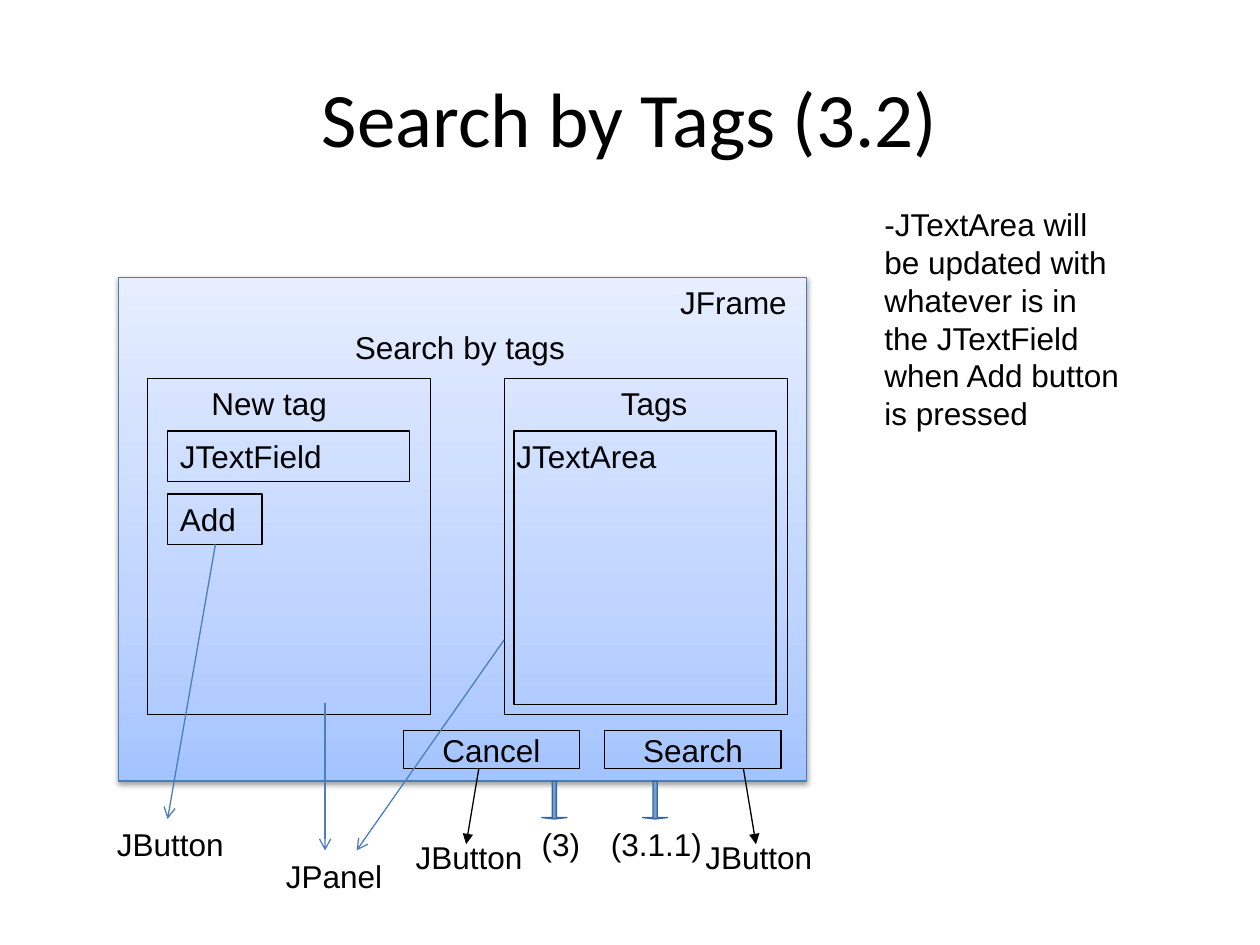
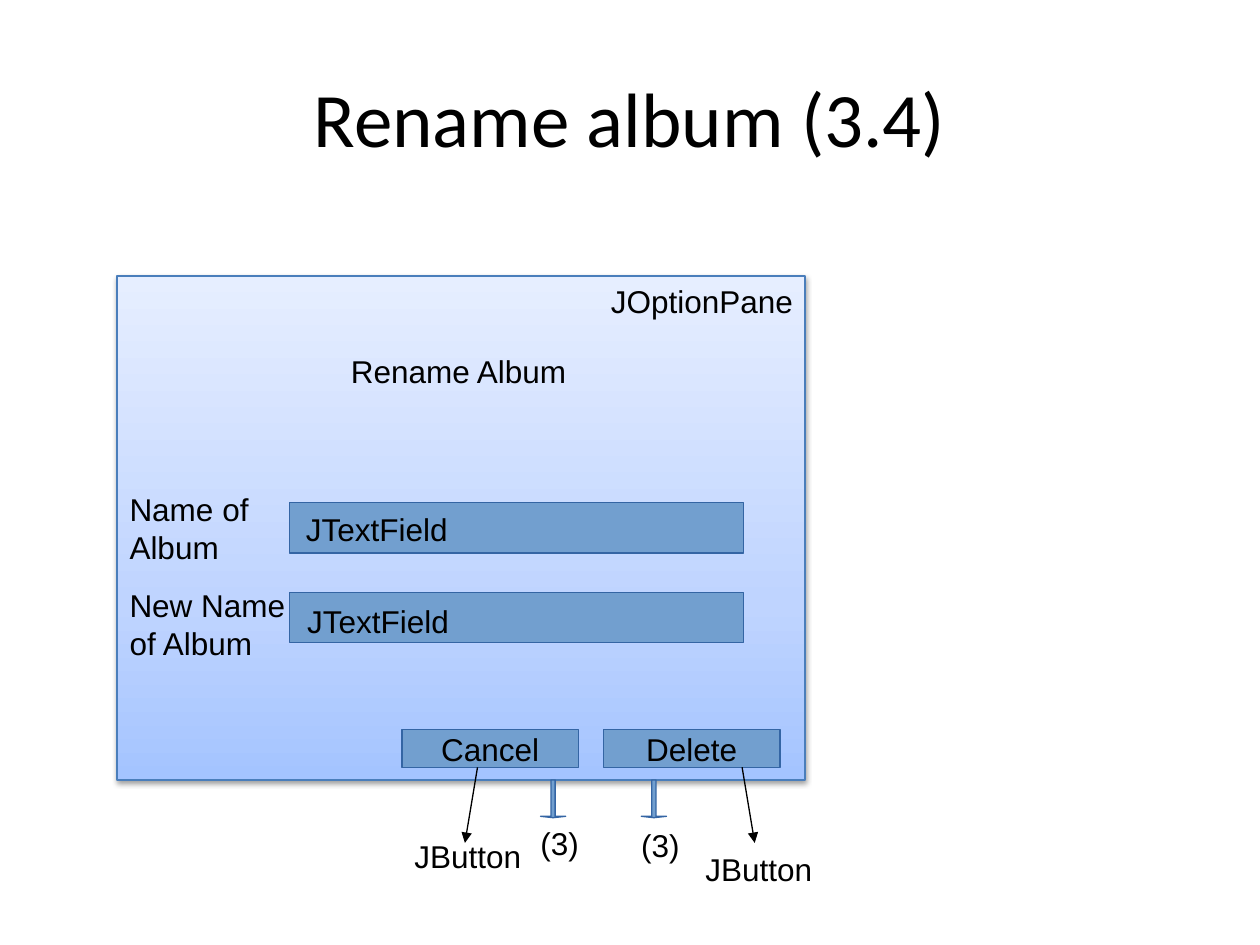
import pptx
import pptx.util
import pptx.dml.color
import pptx.enum.shapes
import pptx.enum.text
import pptx.oxml
import pptx.oxml.ns
from lxml import etree

Pt = pptx.util.Pt
SHAPE = pptx.enum.shapes.MSO_SHAPE
ANCHOR = pptx.enum.text.MSO_ANCHOR
ALIGN = pptx.enum.text.PP_ALIGN

THEME = {
    "title": ("Calibri", 44), "body": ("Arial", 18), "ink": "000000",
    "frame_line": "4A7EBB", "pointer": "4B7EBC",
    "fill": "729FCF", "fill_line": "3465A4",
    "gradient": [(0, "A4C4FF"), (35, "BFD4FF"), (100, "E6EEFF")],
    "line": 0.75, "thin": 0.5,
}

# Parts shared by both dialogs: left, top, width, height in points
FRAME = (67.68, 158.4, 393.12, 288)
HEADING = (100.8, 324, 36)                  # left, width, height
BUTTON_X, BUTTON_Y, BUTTON_SIZE = (230.4, 345.6), 417.6, (100.8, 21.6)
EXIT_X, EXIT_SIZE = (309.6, 367.2), (14.4, 21.6)
CALLOUTS = [(273.6, 439.2, 266.4, 482.4), (424.8, 439.2, 432, 482.4)]

# Labels are (text, left, top, width, height); boxes are (left, top, width, height, text)
SLIDES = [
    {
        "title": "Search by Tags (3.2)", "shift": 0,
        "heading": ("Search by tags", 180), "buttons": ("Cancel", "Search"),
        "filled": False,
        "boxes": [
            (293.76, 246.24, 149.76, 156.24, ""),
            (95.76, 246.24, 138.24, 28.8, "JTextField"),
            (95.76, 282.24, 54, 28.8, "Add"),
        ],
        "panels": [(84.24, 216, 162, 192.24), (288, 216, 162, 192.24)],
        "labels": [
            ("JFrame", 381.6, 158.4, 86.4, 28.8),
            ("New tag", 113.76, 216, 120.24, 28.8),
            ("Tags", 347.76, 216, 93.6, 28.8),
            ("JTextArea", 288, 246.24, 129.6, 28.8),
            ("-JTextArea will be updated with whatever is in the JTextField "
             "when Add button is pressed", 498.24, 113.76, 149.76, 138.24),
            ("JButton", 59.76, 468, 113.76, 28.8),
            ("JPanel", 156.24, 486, 77.76, 28.8),
            ("JButton", 230.4, 475.2, 100.8, 47.52),
            ("(3)", 302.4, 468, 50.4, 28.8),
            ("(3.1.1)", 342, 468, 68.4, 28.8),
            ("JButton", 396, 475.2, 100.8, 47.52),
        ],
        "pointers": [(123.12, 311.04, 95.76, 468), (288, 365.76, 203.76, 486),
                     (185.76, 401.76, 185.76, 486)],
    },
    {
        "title": "Rename album (3.4)", "shift": -0.72,
        "heading": ("Rename Album", 193.68), "buttons": ("Cancel", "Delete"),
        "filled": True,
        "boxes": [(165.6, 287.28, 259.2, 28.8, ""), (165.6, 338.4, 259.2, 28.8, "")],
        "panels": [],
        "labels": [
            ("JOptionPane", 342, 157.68, 125.28, 47.52),
            ("Name of Album", 66.96, 276.48, 119.52, 47.52),
            ("New Name of Album", 66.96, 331.2, 119.52, 47.52),
            ("JTextField", 167.76, 288, 129.6, 28.8),
            ("JTextField", 168.48, 340.56, 129.6, 28.8),
            ("JButton", 229.68, 474.48, 100.8, 47.52),
            ("(3)", 301.68, 467.28, 50.4, 28.8),
            ("(3)", 359.28, 468.72, 50.4, 28.8),
            ("JButton", 396, 482.4, 100.8, 47.52),
        ],
        "pointers": [],
    },
]


def rgb(name):
    return pptx.dml.color.RGBColor.from_string(THEME[name])


def xml(text):
    return pptx.oxml.parse_xml(text.replace(">", " " + pptx.oxml.ns.nsdecls("a") + ">", 1))


def write(tf, text, style="body", align=ALIGN.LEFT, anchor=ANCHOR.TOP):
    tf.word_wrap = True
    tf.vertical_anchor = anchor
    p = tf.paragraphs[0]
    p.text, p.alignment = text, align
    p.font.name, size = THEME[style]
    p.font.size = Pt(size)
    p.font.color.rgb = rgb("ink")


def label(s, text, x, y, w, h, **layout):
    write(s.shapes.add_textbox(Pt(x), Pt(y), Pt(w), Pt(h)).text_frame, text, **layout)


def box(s, x, y, w, h, text="", fill=None, line="ink", width="line",
        kind=SHAPE.RECTANGLE, align=ALIGN.LEFT):
    sp = s.shapes.add_shape(kind, Pt(x), Pt(y), Pt(w), Pt(h))
    sp.shadow.inherit = False
    if fill:
        sp.fill.solid()
        sp.fill.fore_color.rgb = rgb(fill)
    else:
        sp.fill.background()
    sp.line.color.rgb = rgb(line)
    sp.line.width = Pt(THEME[width])
    if text:
        write(sp.text_frame, text, align=align, anchor=ANCHOR.MIDDLE)
    return sp


def frame(s, x, y, w, h):
    sp = box(s, x, y, w, h, line="frame_line")
    pr = sp.element.spPr
    stops = "".join(f'<a:gs pos="{pos * 1000}"><a:srgbClr val="{color}"/></a:gs>'
                    for pos, color in THEME["gradient"])
    pr.replace(pr.find(pptx.oxml.ns.qn("a:noFill")), xml(
        f'<a:gradFill><a:gsLst>{stops}</a:gsLst>'
        '<a:lin ang="16200000" scaled="0"/></a:gradFill>'))
    pr.replace(pr.find(pptx.oxml.ns.qn("a:effectLst")), xml(
        f'<a:effectLst><a:outerShdw blurRad="{Pt(3.1)}" dist="{Pt(1.6)}" '
        'dir="5400000" rotWithShape="0"><a:srgbClr val="000000">'
        '<a:alpha val="38000"/></a:srgbClr></a:outerShdw></a:effectLst>'))


def arrow(s, x1, y1, x2, y2, color, head):
    cn = s.shapes.add_connector(pptx.enum.shapes.MSO_CONNECTOR.STRAIGHT,
                                Pt(x1), Pt(y1), Pt(x2), Pt(y2))
    cn.line.color.rgb = rgb(color)
    cn.line.width = Pt(THEME["line"])
    etree.SubElement(cn.line._get_or_add_ln(), pptx.oxml.ns.qn("a:tailEnd"), type=head)
    etree.SubElement(cn.element.spPr, pptx.oxml.ns.qn("a:effectLst"))


def dialog(s, d):
    """Draw the window with its heading, buttons and exits."""
    k = d["shift"]
    x, y, w, h = FRAME
    frame(s, x + k, y + k, w, h)
    text, top = d["heading"]
    left, width, height = HEADING
    label(s, text, left + k, top, width, height, align=ALIGN.CENTER, anchor=ANCHOR.MIDDLE)
    for text, left in zip(d["buttons"], BUTTON_X):
        box(s, left + k, BUTTON_Y + k, *BUTTON_SIZE, text, align=ALIGN.CENTER, **d["look"])
    for left in EXIT_X:
        sp = box(s, left + k, y + h + k, *EXIT_SIZE, fill="fill", line="fill_line",
                 kind=SHAPE.DOWN_ARROW)
        sp.adjustments[0], sp.adjustments[1] = 0.162, 0.054
    for ends in CALLOUTS:
        arrow(s, *(v + k for v in ends), "ink", "triangle")


prs = pptx.Presentation()
prs.slide_width, prs.slide_height = Pt(720), Pt(540)

for d in SLIDES:
    s = prs.slides.add_slide(prs.slide_layouts[5])
    # Title
    t = s.shapes.title
    t.left, t.top, t.width, t.height = Pt(36), Pt(21.6), Pt(648), Pt(90)
    tf = t.text_frame
    tf.margin_left = tf.margin_right = tf.margin_top = tf.margin_bottom = 0
    write(tf, d["title"], "title", ALIGN.CENTER, ANCHOR.MIDDLE)
    # Window and its contents
    d["look"] = {"fill": "fill", "line": "fill_line"} if d["filled"] else {}
    dialog(s, d)
    for b in d["boxes"]:
        box(s, *b, **d["look"])
    for panel in d["panels"]:
        box(s, *panel, width="thin")
    # Annotations
    for item in d["labels"]:
        label(s, *item)
    for ends in d["pointers"]:
        arrow(s, *ends, "pointer", "arrow")

prs.save("out.pptx")
